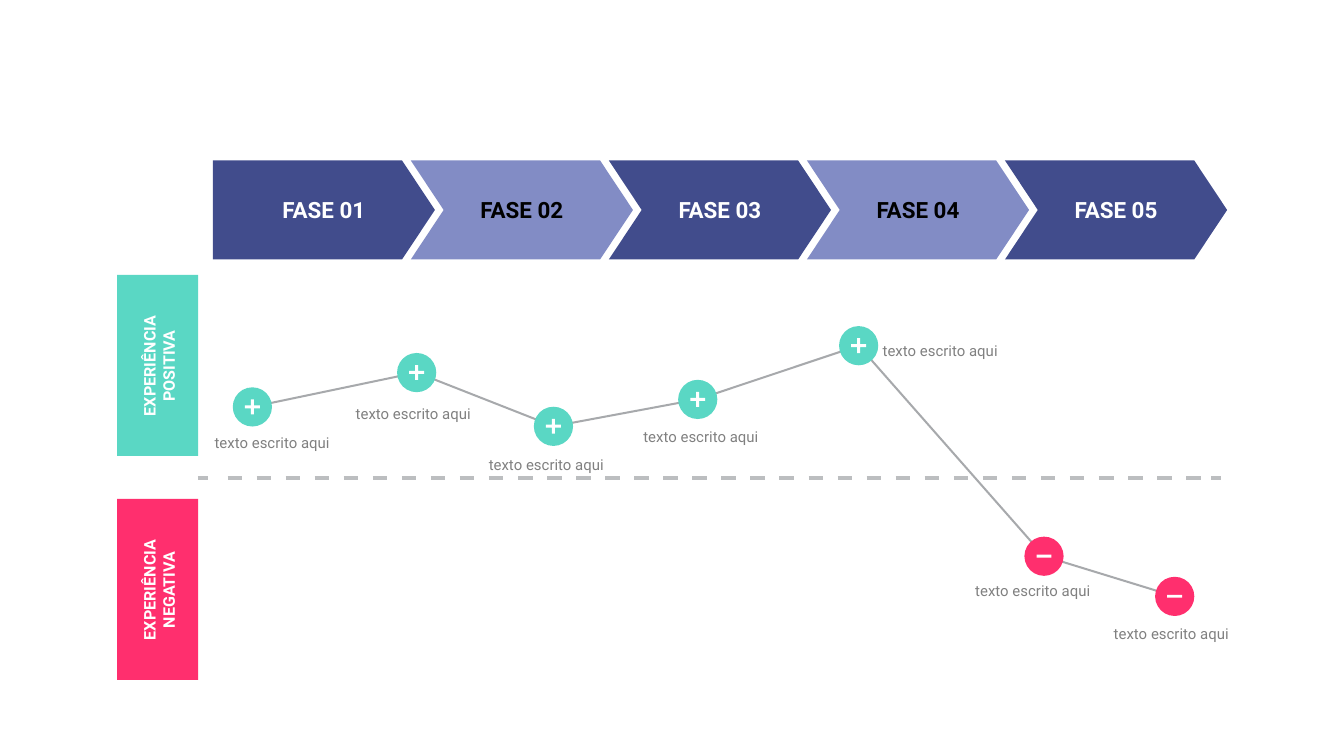
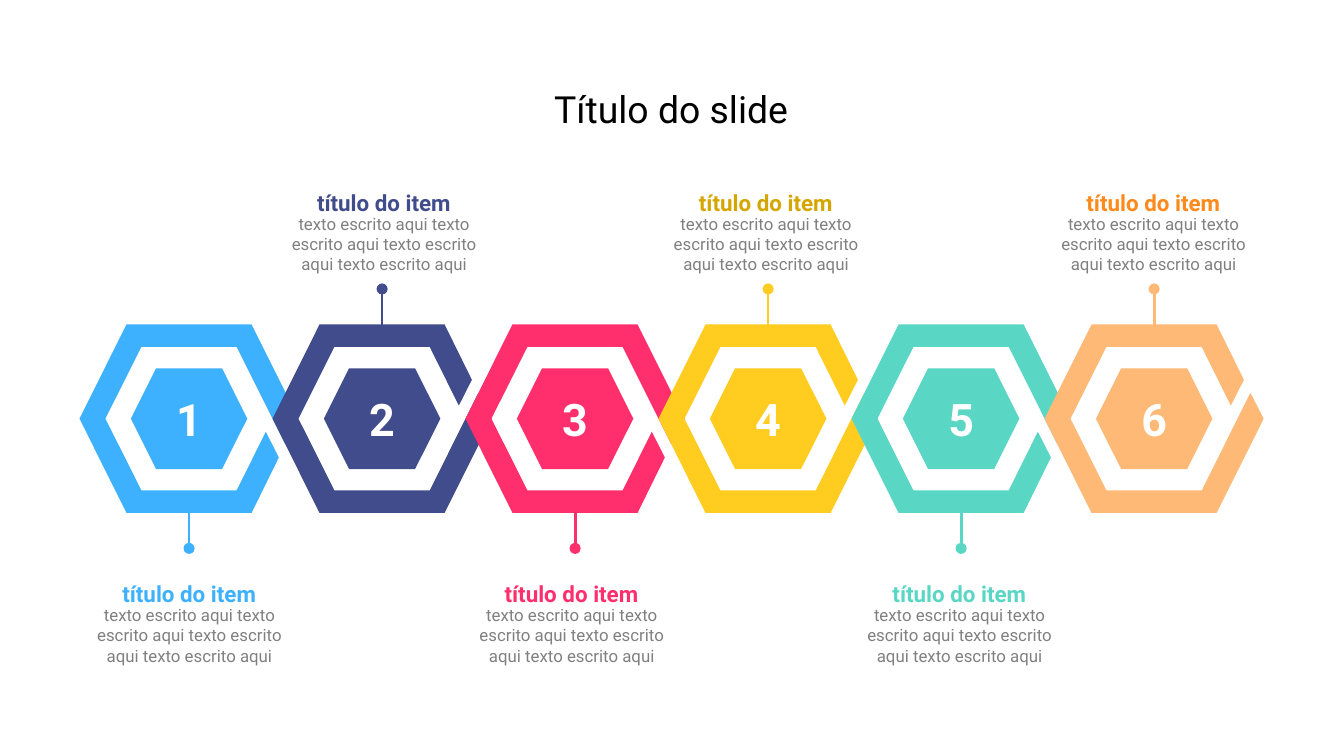
from lxml import etree
from pptx import Presentation
from pptx.dml.color import RGBColor
from pptx.enum.shapes import MSO_CONNECTOR, MSO_SHAPE
from pptx.enum.text import MSO_ANCHOR, PP_ALIGN
from pptx.oxml.ns import qn
from pptx.util import Pt

LINE = MSO_CONNECTOR.STRAIGHT
OVAL, RECT = MSO_SHAPE.OVAL, MSO_SHAPE.RECTANGLE
CROSS, HEX = MSO_SHAPE.CROSS, MSO_SHAPE.HEXAGON
MID, TOP = MSO_ANCHOR.MIDDLE, MSO_ANCHOR.TOP
CENTER = PP_ALIGN.CENTER

# Shared look
FONT = "Roboto"
WHITE, BLACK, GREY = "FFFFFF", "000000", "808080"
NAVY, LILAC, TEAL, PINK = "414C8C", "828CC5", "5AD7C4", "FF2F6E"
BLUE, GOLD, PEACH = "3DB1FE", "FFCC1F", "FEB976"
INSETS = (7.2, 3.6)

# Journey slide
PHASES = ["FASE 01", "FASE 02", "FASE 03", "FASE 04", "FASE 05"]
MOODS = [  # text, colour, top of the bar
    ("EXPERIÊNCIA\nPOSITIVA", TEAL, 147.3),
    ("EXPERIÊNCIA\nNEGATIVA", PINK, 267.3),
]
NOTE = "texto escrito aqui "
STEPS = [  # centre of the dot, corner of its note, good or bad
    ((135.2, 218), (101.5, 229), True),
    ((223.2, 199.6), (177.1, 213.1), True),
    ((296.5, 228.4), (248.4, 240.5), True),
    ((373.8, 214), (331.2, 225.4), True),
    ((460, 185.2), (459.4, 179.3), True),
    ((559.3, 298), (509, 308.2), False),
    ((629.3, 319.5), (583.2, 331.2), False),
]
DASHES = [(106, 111.4), (121.9, 643.5), (648.8, 654)]

# Hexagon slide
TITLE = "Título do slide"
HEAD = "título do item"
BODY = "texto escrito aqui texto escrito aqui texto escrito aqui texto escrito aqui"
ITEMS = [  # hexagon colour, heading colour, centre of the text
    (BLUE, BLUE, 101.4),
    (NAVY, NAVY, 205.7),
    (PINK, PINK, 306.2),
    (GOLD, "D6A600", 410.3),
    (TEAL, TEAL, 514),
    (PEACH, "FD8A1A", 617.9),
]
RING = [  # from the left corner of the hexagon
    (0, 0), (25.2, -50.5), (92.2, -50.5), (117.4, 0), (110.3, 13.8),
    (103.4, 0), (84.2, -38.5), (33.2, -38.5), (13.9, 0), (33.2, 38.5),
    (84.2, 38.5), (99.8, 7), (106.8, 20.8), (92.2, 50.5), (25.2, 50.5),
]


def color(code):
    return RGBColor.from_string(code)


def write(shape, text, size, tint, bold=False, pad=INSETS, anchor=TOP,
          space=None, wrap=True):
    frame = shape.text_frame
    values = {"word_wrap": wrap, "vertical_anchor": anchor,
              "margin_left": Pt(pad[0]), "margin_right": Pt(pad[0]),
              "margin_top": Pt(pad[1]), "margin_bottom": Pt(pad[1])}
    for name, value in values.items():
        setattr(frame, name, value)
    style = {"name": FONT, "size": Pt(size), "bold": bold}
    for i, line in enumerate(text.split("\n")):
        para = frame.add_paragraph() if i else frame.paragraphs[0]
        para.alignment = CENTER
        if space:
            para.line_spacing = space
        run = para.add_run()
        run.text = line
        for name, value in style.items():
            setattr(run.font, name, value)
        run.font.color.rgb = color(tint)


def label(slide, box, text, size, tint, **style):
    shape = slide.shapes.add_textbox(*map(Pt, box))
    write(shape, text, size, tint, **style)
    return shape


def paint(shape, fill):
    shape.shadow.inherit = False
    shape.fill.solid()
    shape.fill.fore_color.rgb = color(fill)
    shape.line.fill.background()
    return shape


def block(slide, kind, box, fill):
    return paint(slide.shapes.add_shape(kind, *map(Pt, box)), fill)


def disc(slide, kind, mid, wide, high, fill):
    x, y = mid
    return block(slide, kind, (x - wide / 2, y - high / 2, wide, high), fill)


def trace(slide, points, close=True):
    spots = [(Pt(x), Pt(y)) for x, y in points]
    form = slide.shapes.build_freeform(*spots[0])
    form.add_line_segments(spots[1:], close=close)
    return form.convert_to_shape()


def rule(slide, start, end, tint, width):
    line = slide.shapes.add_connector(LINE, *map(Pt, (*start, *end)))
    line.line.color.rgb = color(tint)
    line.line.width = Pt(width)
    etree.SubElement(line._element.spPr, qn("a:effectLst"))
    return line.line._get_or_add_ln()


def journey(slide):
    # Phase arrows
    left, top, step, high = 114, 86, 106.1, 53
    wide, tip = 119, 17.6
    for i, name in enumerate(PHASES):
        x, mid, low = left + i * step, top + high / 2, top + high
        points = [(x, top), (x + wide - tip, top), (x + wide, mid),
                  (x + wide - tip, low), (x, low)]
        if i:
            points.append((x + tip, mid))
        arrow = paint(trace(slide, points), LILAC if i % 2 else NAVY)
        write(arrow, name, 12, BLACK if i % 2 else WHITE, bold=True, anchor=MID)

    # Side bars
    for text, fill, y in MOODS:
        block(slide, RECT, (62.7, y, 43.4, 97), fill)
        side = label(slide, (51.1, y + 34.7, 68.4, 28), text, 8.6, WHITE,
                     bold=True, wrap=False)
        side.rotation = 270

    # Dashed divider
    for start, end in DASHES:
        ln = rule(slide, (start, 256.2), (end, 256.2), "BCBEC0", 2.14)
        if end - start > 10:
            dash = etree.Element(qn("a:custDash"))
            etree.SubElement(dash, qn("a:ds"), d="366000", sp="366000")
            ln.find(qn("a:solidFill")).addnext(dash)

    # Curve with its dots and notes
    curve = trace(slide, [mid for mid, _, _ in STEPS], close=False)
    curve.shadow.inherit = False
    curve.fill.background()
    curve.line.color.rgb = color("A7A9AC")
    curve.line.width = Pt(1.07)
    for mid, (x, y), good in STEPS:
        disc(slide, OVAL, mid, 21, 21, TEAL if good else PINK)
        if good:
            sign = disc(slide, CROSS, mid, 8, 8, WHITE)
            sign.adjustments[0] = 0.4
        else:
            disc(slide, RECT, mid, 8, 1.6, WHITE)
        label(slide, (x, y, 90.7, 17.3), NOTE, 8, GREY)


def chain(slide):
    label(slide, (267.1, 44.6, 185, 27.4), TITLE, 20, BLACK, pad=(1.4, 1.4))
    left, mid, step, half = 42.6, 224.3, 103.4, 58.7

    # Interlocked hexagons, every second one flipped
    for i, (fill, _, _) in enumerate(ITEMS):
        x, flip = left + i * step, -1 if i % 2 else 1
        paint(trace(slide, [(x + a, mid + flip * b) for a, b in RING]), fill)
        core = disc(slide, HEX, (x + half, mid), 62.4, 54, fill)
        write(core, str(i + 1), 24, WHITE, bold=True, pad=(0, 0), anchor=MID)

    # Pins and texts, in turn below and above
    for i, (fill, tint, at) in enumerate(ITEMS):
        x, flip = left + half + i * step, -1 if i % 2 else 1
        ln = rule(slide, (x, mid + flip * 48), (x, mid + flip * 69.5), fill, 1.5)
        etree.SubElement(ln, qn("a:tailEnd"), type="oval")
        y = 94.3 if i % 2 else 303.8
        label(slide, (at - 53.3, y + 20.2, 106.6, 32.4), BODY, 9, GREY, pad=(0, 0))
        label(slide, (at - 51.5, y, 103, 20.2), HEAD, 12, tint, bold=True,
              pad=(0, 0), space=1.5)


def main():
    deck = Presentation()
    deck.slide_width, deck.slide_height = Pt(720), Pt(405)
    for draw in (journey, chain):
        draw(deck.slides.add_slide(deck.slide_layouts[6]))
    deck.save("out.pptx")


if __name__ == "__main__":
    main()
